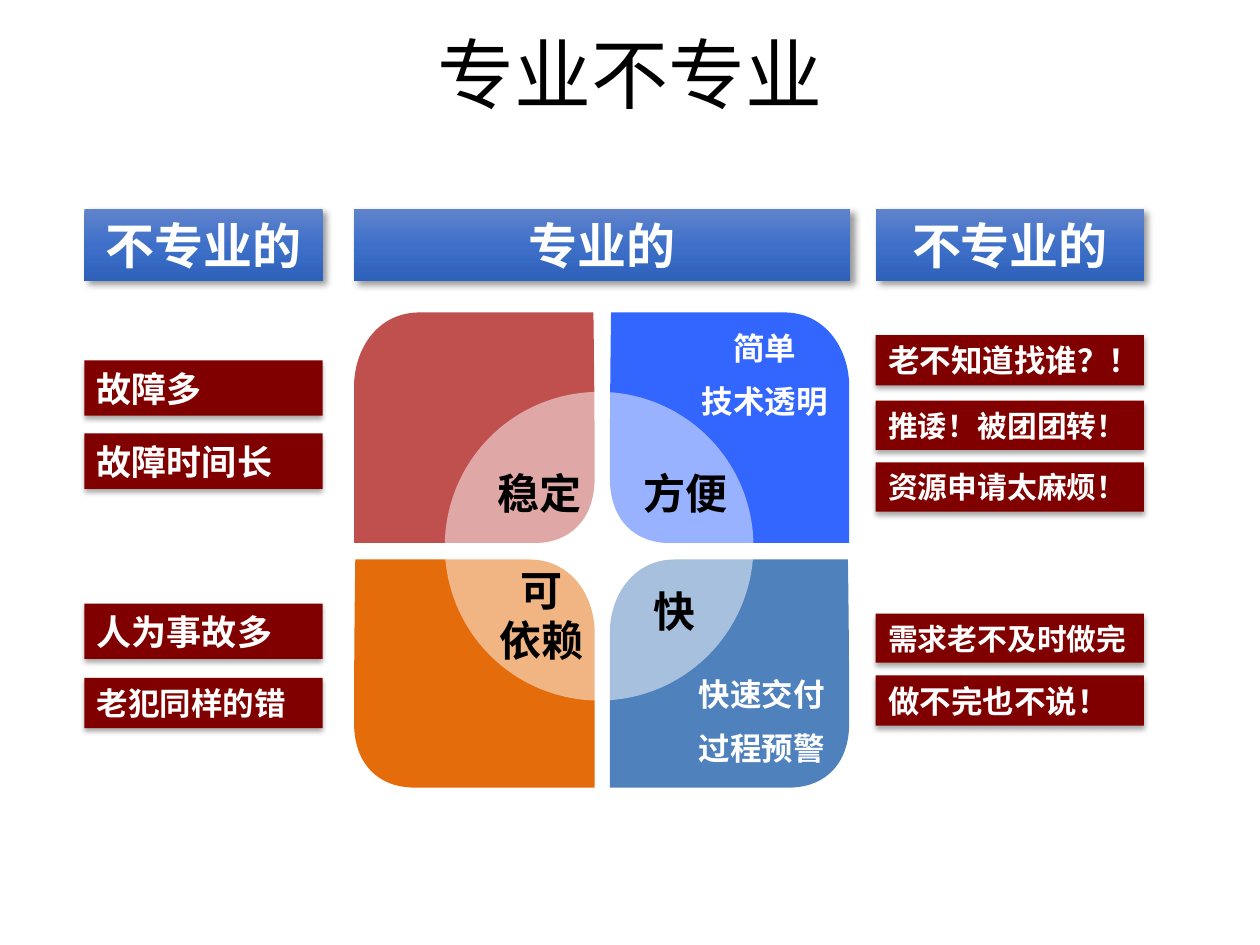
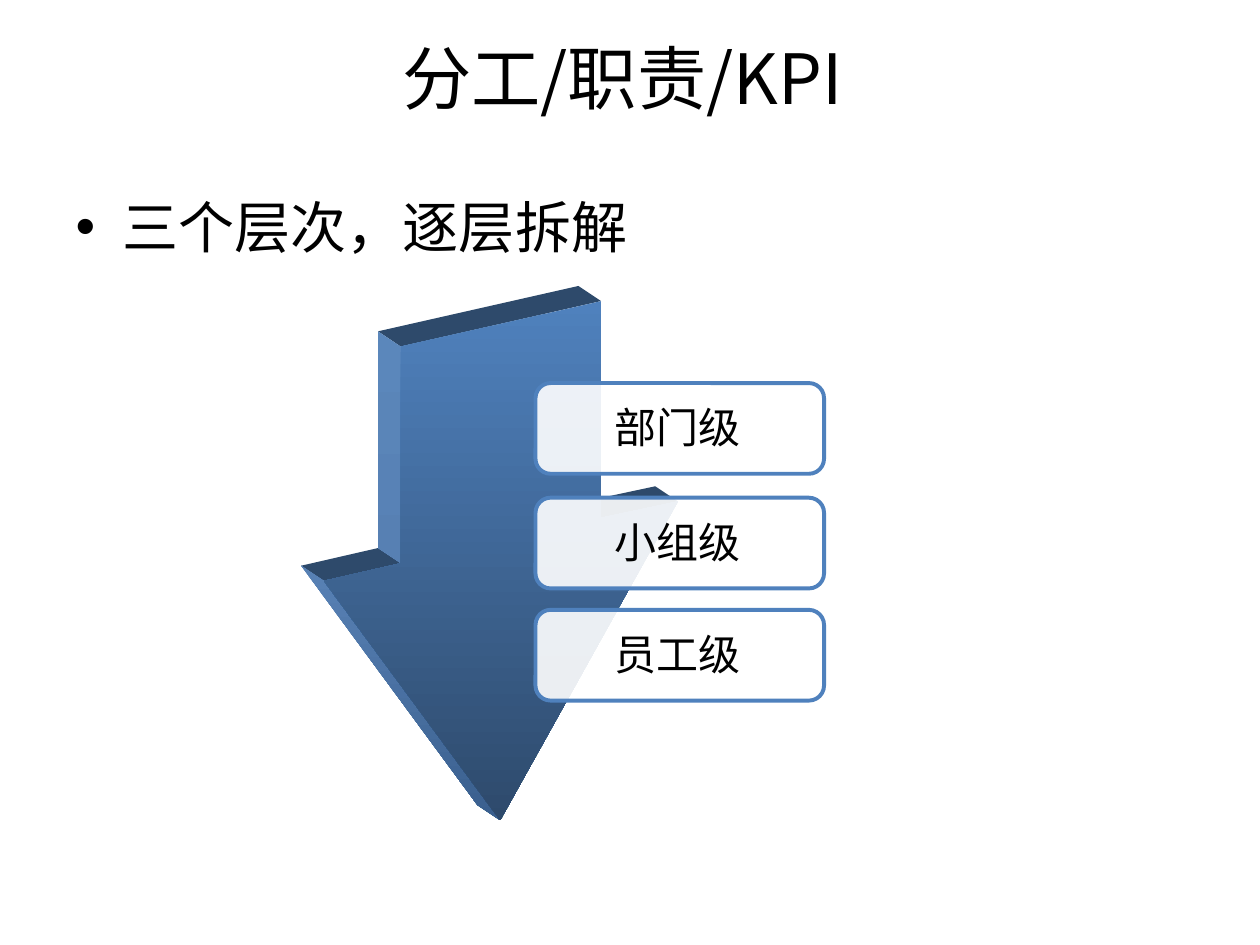
"""Build two slides on professional service and the three levels of duties."""
import copy

import pptx
import pptx.dml.color
import pptx.enum.shapes
import pptx.enum.text
import pptx.oxml.ns
import pptx.util
from lxml import etree

Inches = pptx.util.Inches
Pt = pptx.util.Pt
qn = pptx.oxml.ns.qn
SHAPES = pptx.enum.shapes.MSO_SHAPE
ALIGN = pptx.enum.text.PP_ALIGN
MIDDLE = pptx.enum.text.MSO_ANCHOR.MIDDLE
TOP = pptx.enum.text.MSO_ANCHOR.TOP

FONT = "Noto Sans CJK SC"
WHITE, BLACK = "FFFFFF", "000000"
BLUE, DARK_RED = "4F81BD", "800000"
HEADER_STOPS = [(0, "6083CB"), (0.5, "3E70CA"), (1, "2E61BA")]
HEADER_SHADOW = (40, 4, 3, 45)
COMPLAINT_SHADOW = (35, 3.1, 1.8, 90)
LEFT_COLUMN, MIDDLE_COLUMN, RIGHT_COLUMN = (0.67, 1.89), (2.81, 3.94), (6.95, 2.13)

HEADERS = [
    (LEFT_COLUMN, "不专业的"),
    (RIGHT_COLUMN, "不专业的"),
    (MIDDLE_COLUMN, "专业的"),
]
COMPLAINTS = [
    (LEFT_COLUMN, 4.79, 0.44, 20, "人为事故多"),
    (LEFT_COLUMN, 2.86, 0.44, 20, "故障多"),
    (LEFT_COLUMN, 3.44, 0.44, 20, "故障时间长"),
    (RIGHT_COLUMN, 3.18, 0.39, 17, "推诿！被团团转！"),
    (RIGHT_COLUMN, 3.67, 0.39, 17, "资源申请太麻烦！"),
    (LEFT_COLUMN, 5.38, 0.4, 18, "老犯同样的错"),
    (RIGHT_COLUMN, 4.87, 0.39, 17, "需求老不及时做完"),
    (RIGHT_COLUMN, 2.66, 0.4, 18, "老不知道找谁？！"),
    (RIGHT_COLUMN, 5.36, 0.4, 18, "做不完也不说！"),
]
PETAL_WIDTH, PETAL_HEIGHT = 1.91, 1.83
PETALS = [
    (2.81, 2.48, 1.91, 1.83, False, "C0504D"),
    (4.84, 2.48, 1.9, 1.83, True, "3366FF"),
    (2.81, 4.44, 1.91, 1.81, True, "E46C0A"),
    (4.84, 4.44, 1.9, 1.81, False, BLUE),
]
PETAL_CURVES = [
    (1.46, 1.83),
    (0.73, 1.83), (0, 1.83), (0, 1.83),
    (0, 1.83), (0, 1.2), (0, 0.57),
    (0.01, 0.27), (0.2, 0), (0.52, 0),
    (1.21, 0), (1.9, 0), (1.9, 0),
    (1.9, 0), (1.91, 0.66), (1.91, 1.31),
    (1.91, 1.66), (1.7, 1.82), (1.46, 1.83),
]
DETAILS = [
    (5.14, 2.56, 1.86, 0.86, ["简单", "技术透明"]),
    (5.26, 5.31, 1.57, 0.86, ["快速交付", "过程预警"]),
]
QUALITIES = [
    (3.85, 3.66, 0.89, 0.5, ["稳定"]),
    (5.01, 3.66, 0.89, 0.5, ["方便"]),
    (3.85, 4.43, 0.89, 0.91, ["可", "依赖"]),
    (5.09, 4.6, 0.54, 0.5, ["快"]),
]
LEVELS = [(3.04, "部门级"), (3.95, "小组级"), (4.84, "员工级")]
ARROW_FRONT = [
    (3.18, 2.75), (4.77, 2.39), (4.77, 4.11), (5.38, 3.98),
    (3.97, 6.51), (2.57, 4.61), (3.18, 4.47),
]
ARROW_DEPTH = (-0.18, -0.12)
ARROW_FACES = [
    ((0, 2, 5), "2E4A6B"),
    ((4, 6), [(0, "5B87BB"), (0.5, "5780B3"), (1, "3A5F8E")]),
]


def colour(value):
    """Turn a hex string into a colour."""
    return pptx.dml.color.RGBColor.from_string(value)


def set_values(target, values):
    """Set each named attribute of the target."""
    for name, value in values.items():
        setattr(target, name, value)


def paint(shape, fill, alpha=None):
    """Fill a shape with one colour or a list of gradient stops, without line or shadow."""
    shape.shadow.inherit = False
    shape.line.fill.background()
    if isinstance(fill, str):
        shape.fill.solid()
        shape.fill.fore_color.rgb = colour(fill)
    else:
        shape.fill.gradient()
        shape.fill.gradient_angle = 270
        stop_list = shape._element.spPr.find(".//" + qn("a:gsLst"))
        while len(stop_list) < len(fill):
            stop_list.append(copy.deepcopy(stop_list[0]))
        for stop, (position, value) in zip(shape.fill.gradient_stops, fill):
            stop.position = position
            stop.color.rgb = colour(value)
    if alpha is not None:
        tone = shape._element.spPr.find(".//" + qn("a:srgbClr"))
        etree.SubElement(tone, qn("a:alpha"), val=str(alpha * 1000))


def cast_shadow(shape, alpha, blur, distance, angle):
    """Give a shape a soft black outer shadow."""
    effects = shape._element.spPr.find(qn("a:effectLst"))
    shadow = etree.SubElement(
        effects, qn("a:outerShdw"), blurRad=str(Pt(blur)), dist=str(Pt(distance)),
        dir=str(angle * 60000), rotWithShape="0",
    )
    tone = etree.SubElement(shadow, qn("a:srgbClr"), val=BLACK)
    etree.SubElement(tone, qn("a:alpha"), val=str(alpha * 1000))


def write(shape, lines, size, tone=BLACK, bold=False, align=ALIGN.CENTER,
          gap=0, pitch=None, anchor=MIDDLE):
    """Write lines as paragraphs of a shape."""
    frame = shape.text_frame
    set_values(frame, {"word_wrap": True, "vertical_anchor": anchor})
    if anchor == MIDDLE:
        set_values(frame, {"margin_top": 0, "margin_bottom": 0})
    for index, line in enumerate(lines):
        para = frame.add_paragraph() if index else frame.paragraphs[0]
        set_values(para, {
            "alignment": align,
            "space_before": Pt(gap if index else 0),
            "line_spacing": Pt(pitch) if pitch else None,
        })
        span = para.add_run()
        span.text = line
        set_values(span.font, {"name": FONT, "size": Pt(size), "bold": bold})
        span.font.color.rgb = colour(tone)
        latin = span._r.get_or_add_rPr().find(qn("a:latin"))
        latin.addnext(etree.Element(qn("a:ea"), typeface=FONT))


def place(shape, left, top, width, height):
    """Move and size a shape in inches."""
    set_values(shape, {
        "left": Inches(left), "top": Inches(top),
        "width": Inches(width), "height": Inches(height),
    })


def add_box(page, kind, left, top, width, height, fill, alpha=None):
    """Add a filled preset shape."""
    box = page.shapes.add_shape(
        kind, Inches(left), Inches(top), Inches(width), Inches(height))
    paint(box, fill, alpha)
    return box


def add_label(page, place_at, lines, size, **text_format):
    """Add a text box, with fixed line pitch when it has several lines."""
    label = page.shapes.add_textbox(*(Inches(length) for length in place_at))
    if len(lines) > 1:
        text_format.update(pitch=1.2 * size, anchor=TOP)
    write(label, lines, size, **text_format)


def add_outline(page, contours, fill):
    """Add one shape from closed contours of points in inches."""
    contours = [[(Inches(x), Inches(y)) for x, y in contour] for contour in contours]
    builder = page.shapes.build_freeform(*contours[0][0])
    for index, (start, *rest) in enumerate(contours):
        if index:
            builder.move_to(*start)
        builder.add_line_segments(rest, close=True)
    outline = builder.convert_to_shape()
    paint(outline, fill)
    return outline


def add_petal(page, left, top, width, height, mirrored, fill):
    """Add a leaf with two opposite rounded corners."""
    points = []
    for x, y in PETAL_CURVES:
        across = PETAL_WIDTH - x if mirrored else x
        points.append((left + across * width / PETAL_WIDTH, top + y * height / PETAL_HEIGHT))
    petal = add_outline(page, [points], fill)
    lines = list(petal._element.spPr.iter(qn("a:lnTo")))
    for index in range(0, len(lines), 3):
        curve = etree.Element(qn("a:cubicBezTo"))
        lines[index].addprevious(curve)
        for line in lines[index:index + 3]:
            curve.append(line[0])
            line.getparent().remove(line)


def add_block_arrow(page):
    """Add a deep downward arrow: its side faces, then its front."""
    shift_x, shift_y = ARROW_DEPTH
    for edges, fill in ARROW_FACES:
        faces = []
        for index in edges:
            edge = [ARROW_FRONT[index], ARROW_FRONT[(index + 1) % len(ARROW_FRONT)]]
            faces.append(edge + [(x + shift_x, y + shift_y) for x, y in reversed(edge)])
        add_outline(page, faces, fill)
    add_outline(page, [ARROW_FRONT], [(0, BLUE), (1, "2E4A6C")])


def add_page(deck, layout, title, size, *title_place):
    """Add a page with a centred title."""
    page = deck.slides.add_slide(deck.slide_layouts[layout])
    place(page.shapes.title, *title_place)
    write(page.shapes.title, [title], size)
    return page


def build_comparison(deck):
    """Build the page that sets professional against unprofessional."""
    page = add_page(deck, 5, "专业不专业", 44, 0.5, 0.03, 9, 1.1)
    for petal in PETALS:
        add_petal(page, *petal)
    add_box(page, SHAPES.OVAL, 3.53, 3.11, 2.45, 2.45, WHITE, 50)
    for *place_at, lines in DETAILS:
        add_label(page, place_at, lines, 18, tone=WHITE, bold=True, gap=9)
    for *place_at, lines in QUALITIES:
        align = ALIGN.CENTER if len(lines) > 1 else ALIGN.LEFT
        add_label(page, place_at, lines, 24, bold=True, align=align)
    for (left, width), top, height, size, text in COMPLAINTS:
        bar = add_box(page, SHAPES.RECTANGLE, left, top, width, height, DARK_RED)
        cast_shadow(bar, *COMPLAINT_SHADOW)
        write(bar, [text], size, WHITE, True, ALIGN.LEFT)
    for (left, width), text in HEADERS:
        header = add_box(page, SHAPES.RECTANGLE, left, 1.66, width, 0.57, HEADER_STOPS)
        cast_shadow(header, *HEADER_SHADOW)
        write(header, [text], 28, WHITE, True)


def build_levels(deck):
    """Build the page with the three levels of duties."""
    page = add_page(deck, 1, "分工/职责/KPI", 39.6, 0.63, 0.22, 8.62, 0.78)
    body = page.placeholders[1]
    place(body, 0.5, 1.49, 9, 1.1)
    write(body, ["三个层次，逐层拆解"], 32, align=ALIGN.LEFT, pitch=37.5, anchor=TOP)
    add_block_arrow(page)
    for top, _ in LEVELS:
        box = add_box(page, SHAPES.ROUNDED_RECTANGLE, 4.25, top, 2.29, 0.72, WHITE, 90)
        box.line.color.rgb = colour(BLUE)
        box.line.width = Pt(2.25)
    for top, level in LEVELS:
        add_label(page, (4.29, top + 0.1, 2.17, 0.5), [level], 24)


def main():
    """Build and save the deck."""
    deck = pptx.Presentation()
    set_values(deck, {"slide_width": Inches(10), "slide_height": Inches(7.5)})
    build_comparison(deck)
    build_levels(deck)
    deck.save("out.pptx")


if __name__ == "__main__":
    main()
